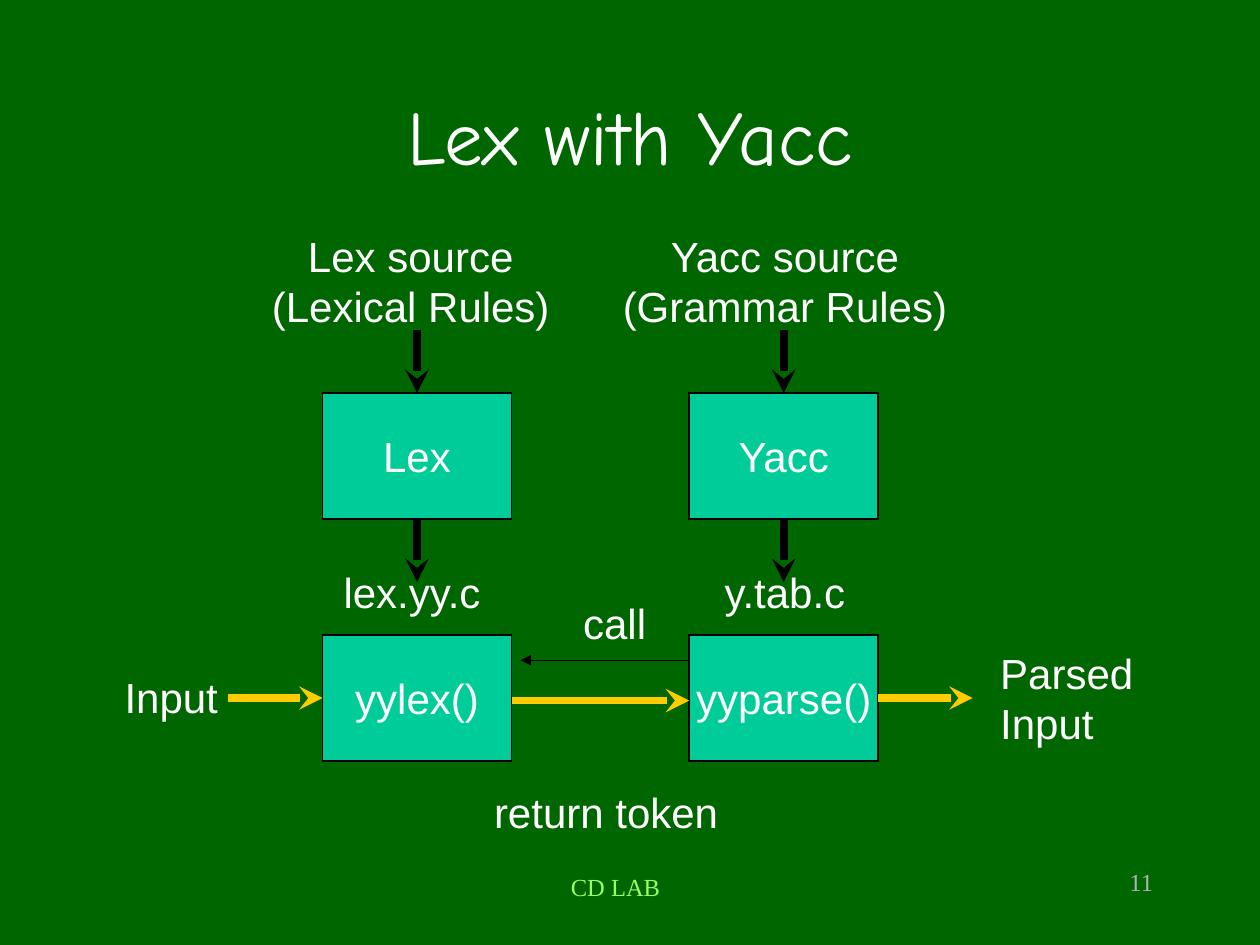
from typing import NamedTuple

import pptx
import pptx.dml.color
import pptx.enum.shapes
import pptx.enum.text
import pptx.oxml
import pptx.oxml.ns
import pptx.util

Inches = pptx.util.Inches
Pt = pptx.util.Pt
ALIGN = pptx.enum.text.PP_ALIGN
ANCHOR = pptx.enum.text.MSO_ANCHOR

COLORS = {
    "back": "006600",
    "box": "00CC99",
    "black": "000000",
    "white": "FFFFFF",
    "gold": "FFCC00",
    "lime": "99FF66",
    "gray": "B2B2B2",
}
LEFT, RIGHT = 2.56, 5.47
WIDE, HIGH = 1.5, 1
TOP, LOW = 3.12, 5.04


class Label(NamedTuple):
    text: str
    x: float
    y: float
    w: float
    h: float = 0.5
    align: ALIGN = ALIGN.CENTER
    wrap: bool = False
    size: int = 24
    font: str = "Arial"
    color: str = "white"
    anchor: ANCHOR = ANCHOR.TOP


class Box(NamedTuple):
    text: str
    x: float
    y: float


class Arrow(NamedTuple):
    x1: float
    y1: float
    x2: float
    y2: float
    color: str = "black"
    width: float = 4.5
    head: str = "stealth"


LABELS = [
    Label("CD LAB", 2.48, 6.87, 4.81, wrap=True, size=14,
          font="Times New Roman", color="lime"),
    Label("11", 7.17, 6.83, 2.08, align=ALIGN.RIGHT, wrap=True, size=14,
          font="Times New Roman", color="gray"),
    Label("Lex with Yacc", 0.75, 0.44, 8.5, 1.25, wrap=True, size=44,
          font="Comic Neue", anchor=ANCHOR.MIDDLE),
    Label("Lex source\n(Lexical Rules)", 1.93, 1.78, 2.66, 0.9, wrap=True),
    Label("Yacc source\n(Grammar Rules)", 4.78, 1.78, 2.9, 0.9, wrap=True),
    Label("Input", 0.89, 5.28, 0.94, align=ALIGN.LEFT),
    Label("Parsed\nInput", 7.84, 5.09, 1.4, 0.9, align=ALIGN.LEFT,
          wrap=True),
    Label("lex.yy.c", LEFT, 4.45, 1.42, wrap=True),
    Label("y.tab.c", RIGHT, 4.45, 1.52, wrap=True),
    Label("return token", 3.82, 6.19, 1.98),
    Label("call", 4.53, 4.69, 0.7, align=ALIGN.LEFT),
]
BOXES = [
    Box("Lex", LEFT, TOP),
    Box("Yacc", RIGHT, TOP),
    Box("yylex()", LEFT, LOW),
    Box("yyparse()", RIGHT, LOW),
]
DOWN = [
    Arrow(x + WIDE / 2, y, x + WIDE / 2, y + 0.5)
    for x in (LEFT, RIGHT)
    for y in (TOP - 0.5, TOP + HIGH)
]
ACROSS = [
    Arrow(LEFT - 0.75, 5.54, LEFT, 5.54, "gold"),
    Arrow(LEFT + WIDE, 5.56, RIGHT, 5.56, "gold"),
    Arrow(RIGHT + WIDE, 5.54, RIGHT + WIDE + 0.75, 5.54, "gold"),
    Arrow(RIGHT, 5.24, 4.13, 5.24, width=0.75, head="triangle"),
]


def tint(name: str) -> pptx.dml.color.RGBColor:
    return pptx.dml.color.RGBColor.from_string(COLORS[name])


def write(frame, label: Label) -> None:
    frame.text = label.text
    frame.word_wrap = label.wrap
    frame.vertical_anchor = label.anchor
    for para in frame.paragraphs:
        para.alignment = label.align
        para.font.size = Pt(label.size)
        para.font.name = label.font
        para.font.color.rgb = tint(label.color)


def add_label(slide, label: Label) -> None:
    area = map(Inches, (label.x, label.y, label.w, label.h))
    write(slide.shapes.add_textbox(*area).text_frame, label)


def add_box(slide, box: Box) -> None:
    area = map(Inches, (box.x, box.y, WIDE, HIGH))
    kind = pptx.enum.shapes.MSO_SHAPE.RECTANGLE
    shape = slide.shapes.add_shape(kind, *area)
    shape.shadow.inherit = False
    shape.fill.solid()
    shape.fill.fore_color.rgb = tint("box")
    shape.line.color.rgb = tint("black")
    shape.line.width = Pt(1)
    write(shape.text_frame,
          Label(*box, WIDE, HIGH, anchor=ANCHOR.MIDDLE))


def add_arrow(slide, arrow: Arrow) -> None:
    kind = pptx.enum.shapes.MSO_CONNECTOR.STRAIGHT
    ends = map(Inches, arrow[:4])
    link = slide.shapes.add_connector(kind, *ends)
    link.line.color.rgb = tint(arrow.color)
    link.line.width = Pt(arrow.width)
    space = pptx.oxml.ns.nsdecls("a")
    props = link._element.spPr
    props.get_or_add_ln().append(pptx.oxml.parse_xml(
        f'<a:tailEnd {space} type="{arrow.head}"/>'))
    props.append(pptx.oxml.parse_xml(f"<a:effectLst {space}/>"))


def main() -> None:
    deck = pptx.Presentation()
    deck.slide_width = Inches(10)
    deck.slide_height = Inches(7.5)
    slide = deck.slides.add_slide(deck.slide_layouts[6])
    slide.background.fill.solid()
    slide.background.fill.fore_color.rgb = tint("back")
    for box in BOXES:
        add_box(slide, box)
    for arrow in DOWN + ACROSS:
        add_arrow(slide, arrow)
    for label in LABELS:
        add_label(slide, label)
    deck.save("out.pptx")


if __name__ == "__main__":
    main()
